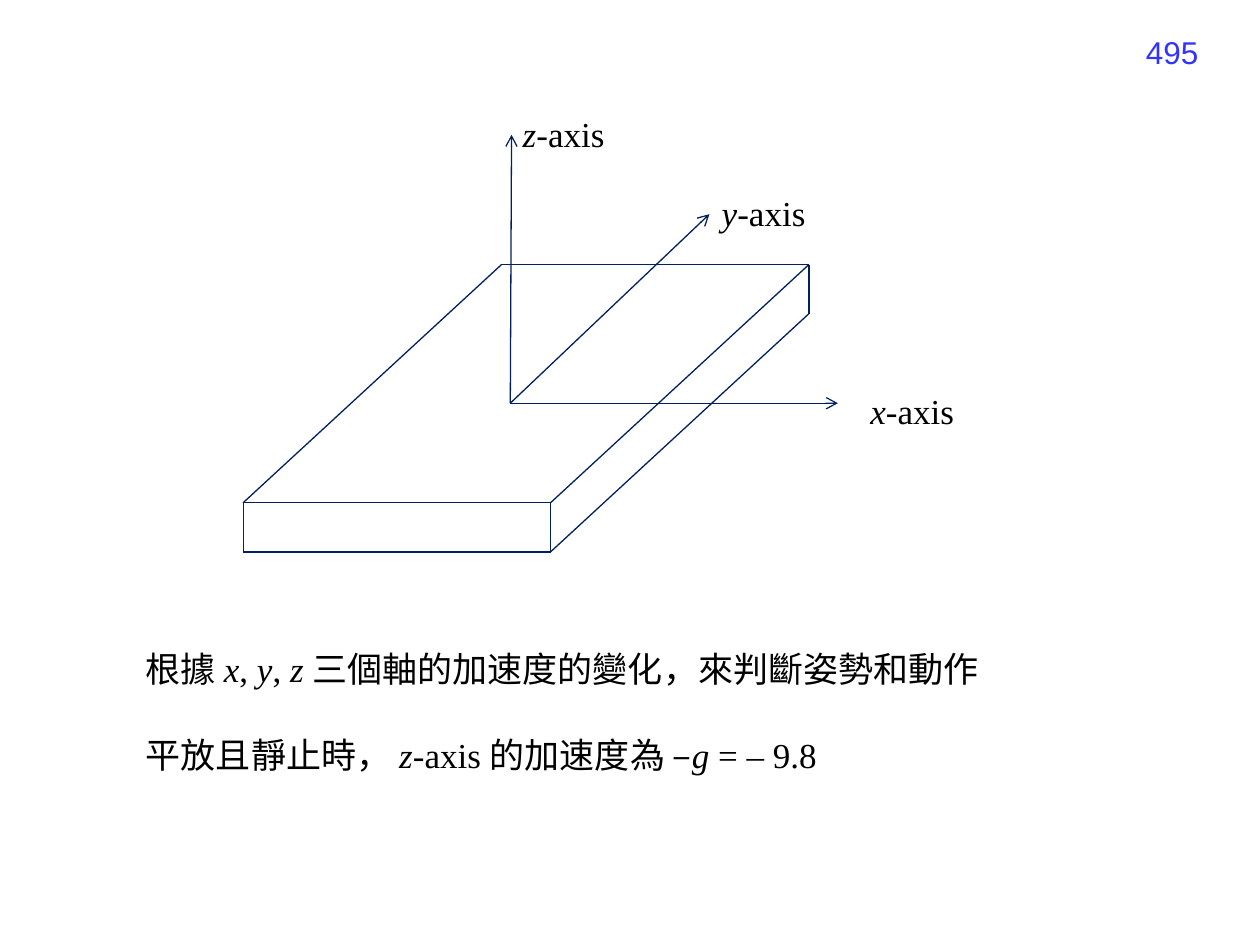
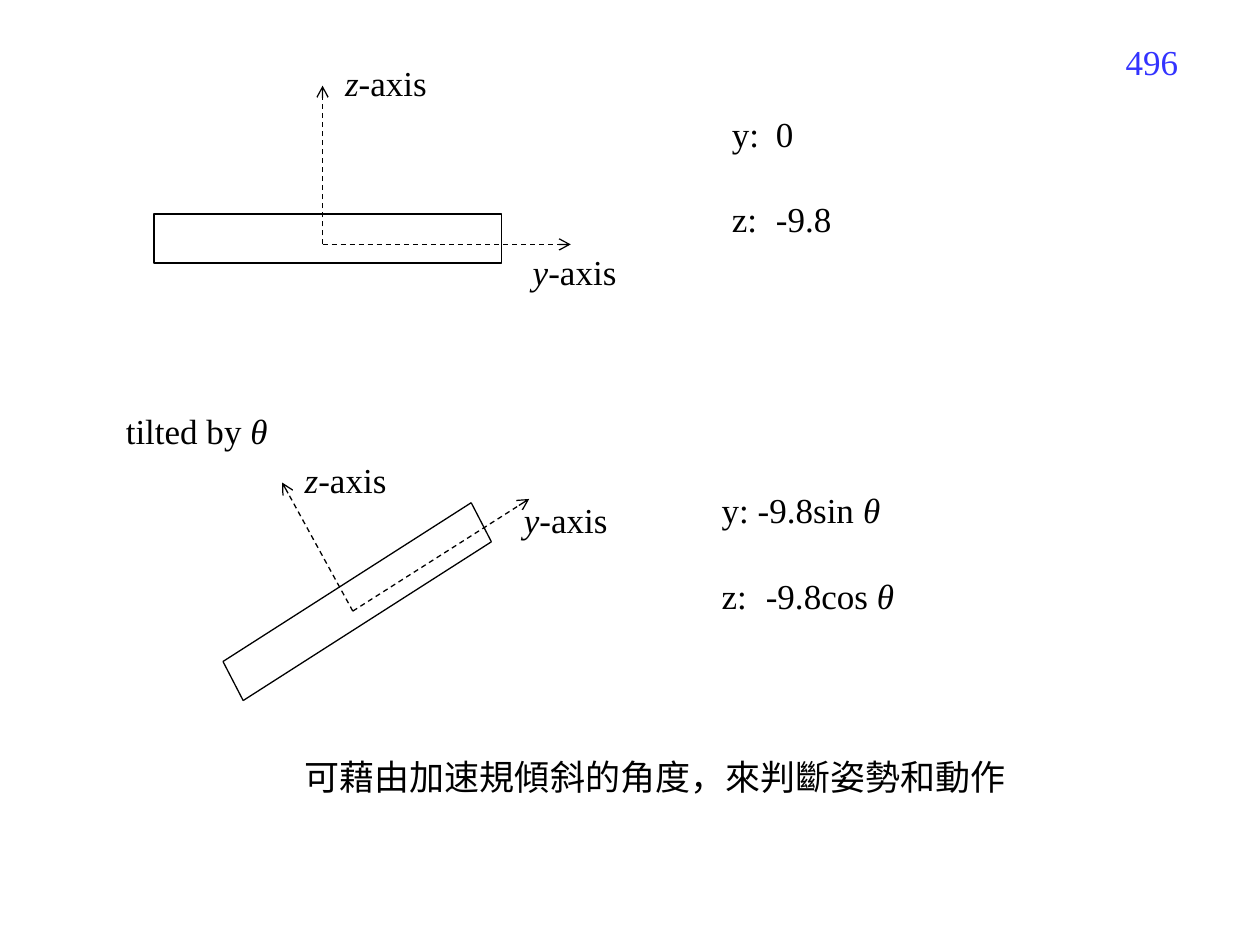
"""Build two slides on reading pose from an accelerometer."""
from dataclasses import dataclass
from itertools import starmap

from lxml.etree import SubElement
from pptx import Presentation
from pptx.dml.color import RGBColor as Rgb
from pptx.enum.dml import MSO_LINE as Dash
from pptx.enum.shapes import MSO_CONNECTOR as Conn, MSO_SHAPE as Form
from pptx.enum.text import MSO_ANCHOR as Anchor, PP_ALIGN as Align
from pptx.oxml.ns import qn
from pptx.slide import Slide
from pptx.util import Inches, Pt

Point = tuple[float, float]


@dataclass(frozen=True)
class Theme:
    """Colours, fonts and sizes of the deck."""
    ink: str = "000000"
    navy: str = "002060"
    blue: str = "3333FF"
    serif: str = "Times New Roman"
    sans: str = "Arial"
    body: float = 20
    small: float = 18
    gap: float = 25
    stop: float = 0.35
    thin: float = 0.75
    thick: float = 1


THEME = Theme()


@dataclass(frozen=True)
class Label:
    """Text in a box, with italics between asterisks."""
    left: float
    top: float
    width: float
    height: float
    lines: tuple[str, ...]
    color: str = THEME.ink
    font: str = THEME.serif
    size: float = THEME.body
    align: Align = Align.LEFT


@dataclass(frozen=True)
class Stroke:
    """A straight line, which may be dashed or end in an arrow."""
    start: Point
    end: Point
    color: str = THEME.ink
    arrow: bool = False
    dashed: bool = False


def write(slide: Slide, label: Label) -> None:
    """Draw a label, one paragraph per line."""
    box = slide.shapes.add_textbox(Inches(label.left), Inches(label.top),
                                   Inches(label.width), Inches(label.height))
    frame = box.text_frame
    frame.word_wrap = True
    frame.vertical_anchor = Anchor.TOP
    for row, line in enumerate(label.lines):
        para = frame.add_paragraph() if row else frame.paragraphs[0]
        para.alignment = label.align
        para.space_before = Pt(THEME.gap if row else 0)
        if "\t" in line:
            tabs = SubElement(para._p.get_or_add_pPr(), qn("a:tabLst"))
            SubElement(tabs, qn("a:tab"), pos=str(Inches(THEME.stop)), algn="l")
        for turn, part in enumerate(line.split("*")):
            if part:
                run = para.add_run()
                run.text = part
                run.font.name = label.font
                run.font.size = Pt(label.size)
                run.font.italic = turn % 2 == 1
                run.font.color.rgb = Rgb.from_string(label.color)


def draw(slide: Slide, stroke: Stroke) -> None:
    """Draw a stroke as a connector."""
    ends = map(Inches, stroke.start + stroke.end)
    wire = slide.shapes.add_connector(Conn.STRAIGHT, *ends)
    wire.line.width = Pt(THEME.thin)
    wire.line.color.rgb = Rgb.from_string(stroke.color)
    if stroke.dashed:
        wire.line.dash_style = Dash.DASH
    if stroke.arrow:
        SubElement(wire.line._get_or_add_ln(), qn("a:tailEnd"), type="arrow")
    SubElement(wire._element.spPr, qn("a:effectLst"))


def move(point: Point, step: Point) -> Point:
    """Shift a point by a step."""
    return point[0] + step[0], point[1] + step[1]


def facet(start: Point, along: Point, down: Point, color: str) -> list[Stroke]:
    """List the four edges of a parallelogram."""
    right, low = move(start, along), move(start, down)
    far = move(right, down)
    pairs = [(start, right), (start, low), (right, far), (low, far)]
    return [Stroke(head, tail, color) for head, tail in pairs]


def slab(start: Point, wide: Point, deep: Point, tall: Point, color: str) -> list[Stroke]:
    """List the visible edges of a flat box."""
    near = move(start, wide)
    faces = [(start, wide, deep), (start, wide, tall), (near, deep, tall)]
    edges = [edge for face in faces for edge in facet(*face, color)]
    return list(dict.fromkeys(edges))


def axis(name: str, left: float, top: float, width: float) -> Label:
    """Make the label of an axis."""
    return Label(left, top, width, 0.44, (f"*{name}*-axis",))


def bar(slide: Slide, left: float, top: float, width: float, height: float) -> None:
    """Draw the level device seen from the side."""
    rect = slide.shapes.add_shape(Form.RECTANGLE, Inches(left), Inches(top),
                                  Inches(width), Inches(height))
    rect.shadow.inherit = False
    rect.fill.background()
    rect.line.width = Pt(THEME.thick)
    rect.line.color.rgb = Rgb.from_string(THEME.ink)


def fill(slide: Slide, strokes: list[Stroke], labels: list[Label]) -> None:
    """Draw all strokes, then all labels."""
    for stroke in strokes:
        draw(slide, stroke)
    for label in labels:
        write(slide, label)


def space(slide: Slide) -> None:
    """Show the device with its three axes."""
    navy, hub = THEME.navy, (4.05, 3.2)
    tips = [(6.65, 3.2), (5.63, 1.7), (4.06, 1.07)]
    edges = slab((1.93, 3.99), (2.44, 0), (2.05, -1.89), (0, 0.39), navy)
    fill(slide, edges + [Stroke(hub, tip, navy, True) for tip in tips], [
        Label(7.28, 0.21, 2.33, 0.52, ("495",), THEME.blue, THEME.sans,
              THEME.small, Align.RIGHT),
        *starmap(axis, [("x", 6.81, 3.04, 0.94), ("y", 5.63, 1.47, 0.94),
                        ("z", 4.05, 0.84, 0.95)]),
        Label(1.06, 5.09, 7.8, 1.45,
              ("根據 *x*, *y*, *z *三個軸的加速度的變化，來判斷姿勢和動作",
               "平放且靜止時， *z*-axis 的加速度為 –*g* = – 9.8")),
    ])


def tilt(slide: Slide) -> None:
    """Compare the level device with the tilted one."""
    bar(slide, 1.22, 1.7, 2.76, 0.39)
    hubs = {(2.56, 1.94): [(4.53, 1.94), (2.56, 0.68)],
            (2.8, 4.85): [(4.2, 3.96), (2.24, 3.83)]}
    rays = [Stroke(hub, tip, arrow=True, dashed=True)
            for hub, tips in hubs.items() for tip in tips]
    edges = facet((1.77, 5.25), (1.97, -1.26), (0.16, 0.31), THEME.ink)
    fill(slide, edges + rays, [
        Label(8.62, 0.27, 0.83, 0.61, ("496",), THEME.blue, align=Align.RIGHT),
        *starmap(axis, [("y", 4.13, 1.94, 1.1), ("z", 2.64, 0.44, 1.1),
                        ("y", 4.06, 3.91, 1.1), ("z", 2.32, 3.59, 1.1)]),
        Label(5.71, 0.84, 1.73, 1.11, ("y:\t0", "z:\t-9.8")),
        Label(5.63, 3.83, 1.73, 1.11, ("y: -9.8sin *θ*", "z:\t-9.8cos *θ*")),
        Label(0.9, 3.2, 2.28, 0.44, ("tilted by *θ*",)),
        Label(2.32, 5.95, 6.06, 0.44, ("可藉由加速規傾斜的角度，來判斷姿勢和動作",)),
    ])


def main() -> None:
    """Build and save the deck."""
    deck = Presentation()
    deck.slide_width, deck.slide_height = Inches(10), Inches(7.5)
    for build in (space, tilt):
        build(deck.slides.add_slide(deck.slide_layouts[6]))
    deck.save("out.pptx")


main()
